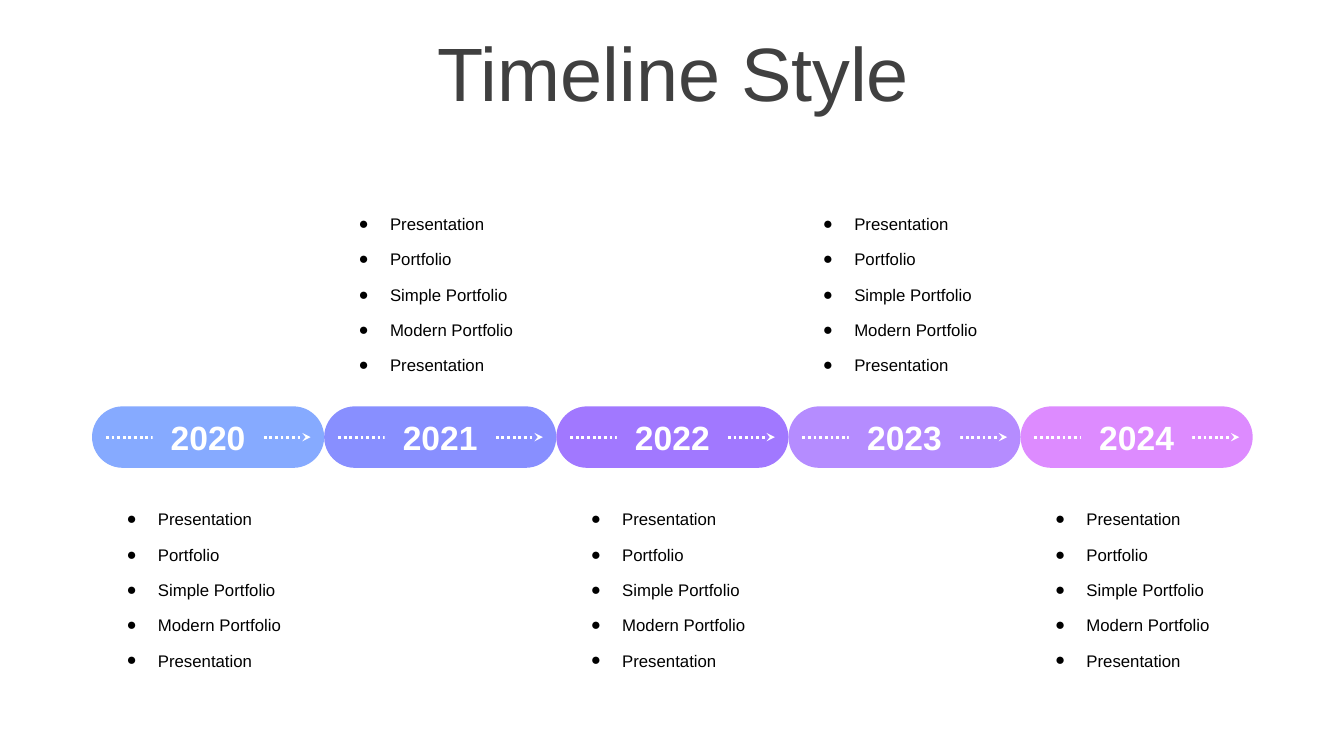
from collections import namedtuple

from lxml import etree
from pptx import Presentation
from pptx.dml.color import RGBColor
from pptx.enum.dml import MSO_LINE
from pptx.enum.shapes import MSO_CONNECTOR, MSO_SHAPE
from pptx.enum.text import MSO_ANCHOR, MSO_AUTO_SIZE, PP_ALIGN
from pptx.oxml.ns import qn
from pptx.util import Cm, Pt

ROUNDED = MSO_SHAPE.ROUNDED_RECTANGLE
STRAIGHT = MSO_CONNECTOR.STRAIGHT
DOTTED = MSO_LINE.ROUND_DOT
MIDDLE = MSO_ANCHOR.MIDDLE
GROW = MSO_AUTO_SIZE.SHAPE_TO_FIT_TEXT
CENTER = PP_ALIGN.CENTER

Box = namedtuple("Box", "left top width height")

FONT = "Arial"
COLORS = {
    "title": "404040",
    "text": "000000",
    "white": "FFFFFF",
    "2020": "86AAFF",
    "2021": "888FFF",
    "2022": "A178FF",
    "2023": "B58CFF",
    "2024": "DD8BFF",
}
YEARS = ["2020", "2021", "2022", "2023", "2024"]
ITEMS = ["Presentation", "Portfolio", "Simple Portfolio", "Modern Portfolio", "Presentation"]

TITLE_BOX = Box(0.89, 0.94, 32.16, 2.01)
BAND_BOX = Box(2.32, 10.24, 29.25, 1.55)
LIST_INSET = 0.62
LIST_WIDTH = 4.62
LIST_TOPS = [12.8, 5.36]
ITEM_HEIGHT = 0.66
ITEM_PITCH = 0.89


def color(name):
    """Return the named colour."""
    return RGBColor.from_string(COLORS[name])


def add_text(shapes, box, text, size, color_name, bold=False):
    """Add a wrapping one-paragraph text box and return it."""
    text_box = shapes.add_textbox(*map(Cm, box))
    frame = text_box.text_frame
    frame.word_wrap = True
    frame.text = text
    font = frame.paragraphs[0].runs[0].font
    font.name = FONT
    font.size = Pt(size)
    font.bold = bold
    font.color.rgb = color(color_name)
    return text_box


def add_title(page, box):
    """Place the centred slide title in the box."""
    frame = add_text(page.shapes, box, "Timeline Style", 54, "title").text_frame
    frame.vertical_anchor = MIDDLE
    para = frame.paragraphs[0]
    para.alignment = CENTER
    para.line_spacing = 0.9
    para.space_before = Pt(10)


def add_pill(page, box, year):
    """Fill the box with the rounded bar of one year."""
    pill = page.shapes.add_shape(ROUNDED, *map(Cm, box))
    pill.adjustments[0] = 0.5
    pill.shadow.inherit = False
    pill.fill.solid()
    pill.fill.fore_color.rgb = color(year)
    pill.line.fill.background()


def add_arrow(page, box):
    """Draw a dotted arrow through the middle of the box."""
    middle = Cm(box.top + box.height / 2)
    start, end = Cm(box.left + 0.35), Cm(box.left + box.width - 0.34)
    arrow = page.shapes.add_connector(STRAIGHT, start, middle, end, middle)
    arrow.line.width = Pt(2)
    arrow.line.color.rgb = color("white")
    arrow.line.dash_style = DOTTED
    properties = arrow._element.spPr
    etree.SubElement(properties.find(qn("a:ln")), qn("a:tailEnd"), type="stealth")
    etree.SubElement(properties, qn("a:effectLst"))


def add_year(page, box, year):
    """Write the year on a patch of its own colour, centred in the box."""
    width, height = 2.8, 1.27
    patch = Box(box.left + (box.width - width) / 2, box.top + (box.height - height) / 2, width, height)
    label = add_text(page.shapes, patch, year, 24, "white", bold=True)
    label.fill.solid()
    label.fill.fore_color.rgb = color(year)
    label.text_frame.auto_size = GROW
    label.text_frame.paragraphs[0].alignment = CENTER


def add_band(page, box):
    """Lay the years side by side in the box and return their cells."""
    width = box.width / len(YEARS)
    cells = [Box(box.left + i * width, box.top, width, box.height) for i in range(len(YEARS))]
    for cell, year in zip(cells, YEARS):
        add_pill(page, cell, year)
    for cell, year in zip(cells, YEARS):
        add_arrow(page, cell)
        add_year(page, cell, year)
    return cells


def add_list(page, left, top):
    """Stack the bulleted items in a group from the given corner."""
    group = page.shapes.add_group_shape()
    for row, item in enumerate(ITEMS):
        box = Box(left, top + row * ITEM_PITCH, LIST_WIDTH, ITEM_HEIGHT)
        frame = add_text(group.shapes, box, item, 12, "text").text_frame
        frame.auto_size = GROW
        para = frame.paragraphs[0]
        para.line_spacing = 0.8
        properties = para._p.get_or_add_pPr()
        properties.set("marL", str(Cm(0.79)))
        properties.set("indent", str(Cm(-0.79)))
        etree.SubElement(properties, qn("a:buFont"), typeface=FONT)
        etree.SubElement(properties, qn("a:buChar"), char="●")


def main():
    """Build and save the timeline slide."""
    deck = Presentation()
    deck.slide_width, deck.slide_height = Cm(33.87), Cm(19.05)
    page = deck.slides.add_slide(deck.slide_layouts[6])
    add_title(page, TITLE_BOX)
    for index, cell in enumerate(add_band(page, BAND_BOX)):
        add_list(page, cell.left + LIST_INSET, LIST_TOPS[index % 2])
    deck.save("out.pptx")


if __name__ == "__main__":
    main()
